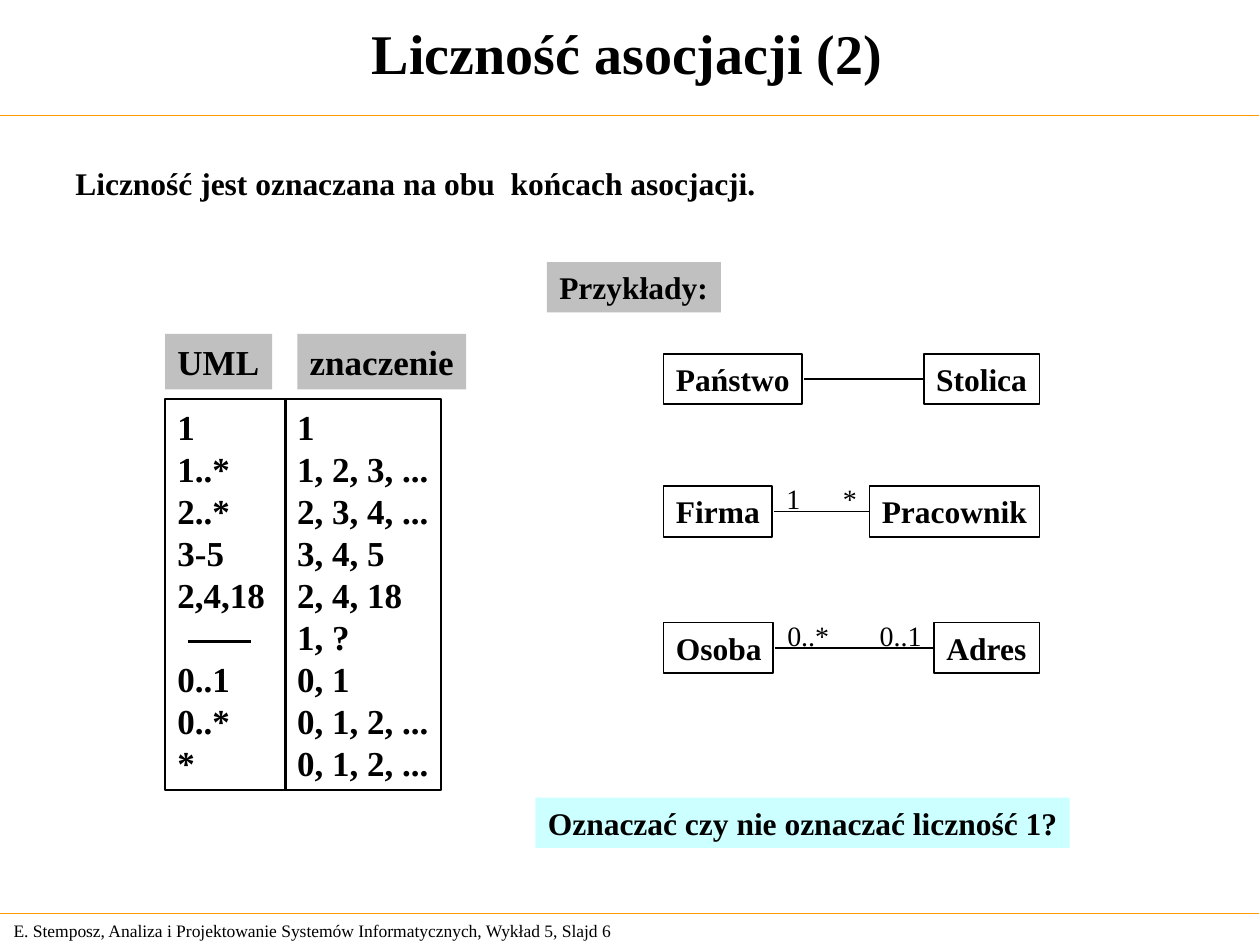
from dataclasses import dataclass

from lxml import etree
from pptx import Presentation
from pptx.dml.color import RGBColor
from pptx.enum import shapes, text
from pptx.oxml import ns
from pptx.util import Pt


@dataclass(frozen=True)
class Theme:
    font: str = "Times New Roman"
    ink: str = "000000"
    rule: str = "FF9900"
    heading_fill: str = "C0C0C0"
    question_fill: str = "CCFFFF"
    title: int = 32
    table: int = 20
    body: int = 18
    multiplicity: int = 16
    footer: int = 10
    line_height: float = 1.2


THEME = Theme()

# UML notation and its meaning; None stands for an unmarked association end
NOTATION = [
    ("1", "1"),
    ("1..*", "1, 2, 3, ..."),
    ("2..*", "2, 3, 4, ..."),
    ("3-5", "3, 4, 5"),
    ("2,4,18", "2, 4, 18"),
    (None, "1, ?"),
    ("0..1", "0, 1"),
    ("0..*", "0, 1, 2, ..."),
    ("*", "0, 1, 2, ..."),
]

# top, (class, width) on the left and right, multiplicities, label width
ASSOCIATIONS = [
    (202.3, ("Państwo", 79.2), ("Stolica", 66.2), (), 0),
    (277.9, ("Firma", 62), ("Pracownik", 97.2), ("1", "*"), 22.3),
    (355.7, ("Osoba", 62.6), ("Adres", 60.2), ("0..*", "0..1"), 38.2),
]
CLASSES_LEFT, CLASSES_RIGHT = 379.2, 594
CLASS_HEIGHT = 28.8


def write(frame, lines, *, size, bold=True, align=text.PP_ALIGN.LEFT,
          anchor=text.MSO_ANCHOR.TOP, wrap=False):
    """Write one paragraph per line; None leaves the height of a line free."""
    frame.word_wrap = wrap
    frame.vertical_anchor = anchor
    frame.margin_left = frame.margin_right = Pt(7.2)
    frame.margin_top = frame.margin_bottom = Pt(3.6)
    line_height = Pt(size * THEME.line_height)
    gap = 0
    paragraph = None
    for line in lines:
        if line is None:
            gap += line_height
            continue
        paragraph = frame.add_paragraph() if paragraph else frame.paragraphs[0]
        paragraph.alignment = align
        paragraph.line_spacing = line_height
        paragraph.space_before = gap
        gap = 0
        run = paragraph.add_run()
        run.text = line
        run.font.name = THEME.font
        run.font.size = Pt(size)
        run.font.bold = bold
        run.font.color.rgb = RGBColor.from_string(THEME.ink)


def add_label(slide, left, top, width, height, label, **style):
    box = slide.shapes.add_textbox(Pt(left), Pt(top), Pt(width), Pt(height))
    write(box.text_frame, [label], **style)


def add_box(slide, left, top, width, height, lines, fill=None, **style):
    """Add a filled box without outline, or an outlined box without fill."""
    box = slide.shapes.add_shape(shapes.MSO_SHAPE.RECTANGLE,
                                 Pt(left), Pt(top), Pt(width), Pt(height))
    box.shadow.inherit = False
    if fill:
        box.fill.solid()
        box.fill.fore_color.rgb = RGBColor.from_string(fill)
        box.line.fill.background()
    else:
        box.fill.background()
        box.line.color.rgb = RGBColor.from_string(THEME.ink)
        box.line.width = Pt(1)
    write(box.text_frame, lines, **style)


def add_horizontal(slide, start, end, y, color=THEME.ink, width=1):
    line = slide.shapes.add_connector(shapes.MSO_CONNECTOR.STRAIGHT,
                                      Pt(start), Pt(y), Pt(end), Pt(y))
    line.line.color.rgb = RGBColor.from_string(color)
    line.line.width = Pt(width)
    etree.SubElement(line._element.spPr, ns.qn("a:effectLst"))


def add_frame(slide):
    """Add the title, the footer and the rules beside them."""
    middle = text.MSO_ANCHOR.MIDDLE
    add_label(slide, 0.7, 522, 377, 19.4,
              "E. Stemposz, Analiza i Projektowanie Systemów Informatycznych, "
              "Wykład 5, Slajd 6",
              size=THEME.footer, bold=False, anchor=middle, wrap=True)
    for y in (66.2, 522):
        add_horizontal(slide, -0.7, 719.3, y, THEME.rule, 0.75)
    add_label(slide, 0, -0.7, 717, 61.2, "Liczność asocjacji (2)",
              size=THEME.title, align=text.PP_ALIGN.CENTER, anchor=middle,
              wrap=True)


def add_notation(slide):
    symbols, meanings = zip(*NOTATION)
    top, height = 228.2, 223.2
    add_box(slide, 162.7, top, 89.3, height, meanings, size=THEME.table)
    add_box(slide, 94.3, top, 69.1, height, symbols, size=THEME.table, wrap=True)
    add_horizontal(slide, 107.3, 143.3, 366.5, width=1.5)
    for left, width, heading in ((94.3, 61.2, "UML"), (169.9, 96.5, "znaczenie")):
        add_box(slide, left, 190.8, width, 31.7, [heading],
                fill=THEME.heading_fill, size=THEME.table)


def add_association(slide, top, source, target, multiplicities, label_width):
    source_name, source_width = source
    target_name, target_width = target
    start = CLASSES_LEFT + source_width
    end = CLASSES_RIGHT - target_width
    add_box(slide, CLASSES_LEFT, top, source_width, CLASS_HEIGHT, [source_name],
            size=THEME.body)
    add_box(slide, end, top, target_width, CLASS_HEIGHT, [target_name],
            size=THEME.body)
    add_horizontal(slide, start + 1, end, top + CLASS_HEIGHT / 2)
    for left, label in zip((start + 1, end - label_width), multiplicities):
        add_label(slide, left, top - 6, label_width, 26.6, label,
                  size=THEME.multiplicity, bold=False)


def main():
    deck = Presentation()
    deck.slide_width, deck.slide_height = Pt(720), Pt(540)
    slide = deck.slides.add_slide(deck.slide_layouts[6])

    add_frame(slide)
    add_label(slide, 36, 90, 403.2, 28.8,
              "Liczność jest oznaczana na obu  końcach asocjacji.",
              size=THEME.body)
    add_notation(slide)
    for association in ASSOCIATIONS:
        add_association(slide, *association)
    add_box(slide, 306, 455.8, 305.3, 28.8,
            ["Oznaczać czy nie oznaczać liczność 1?"],
            fill=THEME.question_fill, size=THEME.body)
    add_box(slide, 312.5, 149.8, 99.4, 28.8, ["Przykłady:"],
            fill=THEME.heading_fill, size=THEME.body)
    deck.save("out.pptx")


if __name__ == "__main__":
    main()
